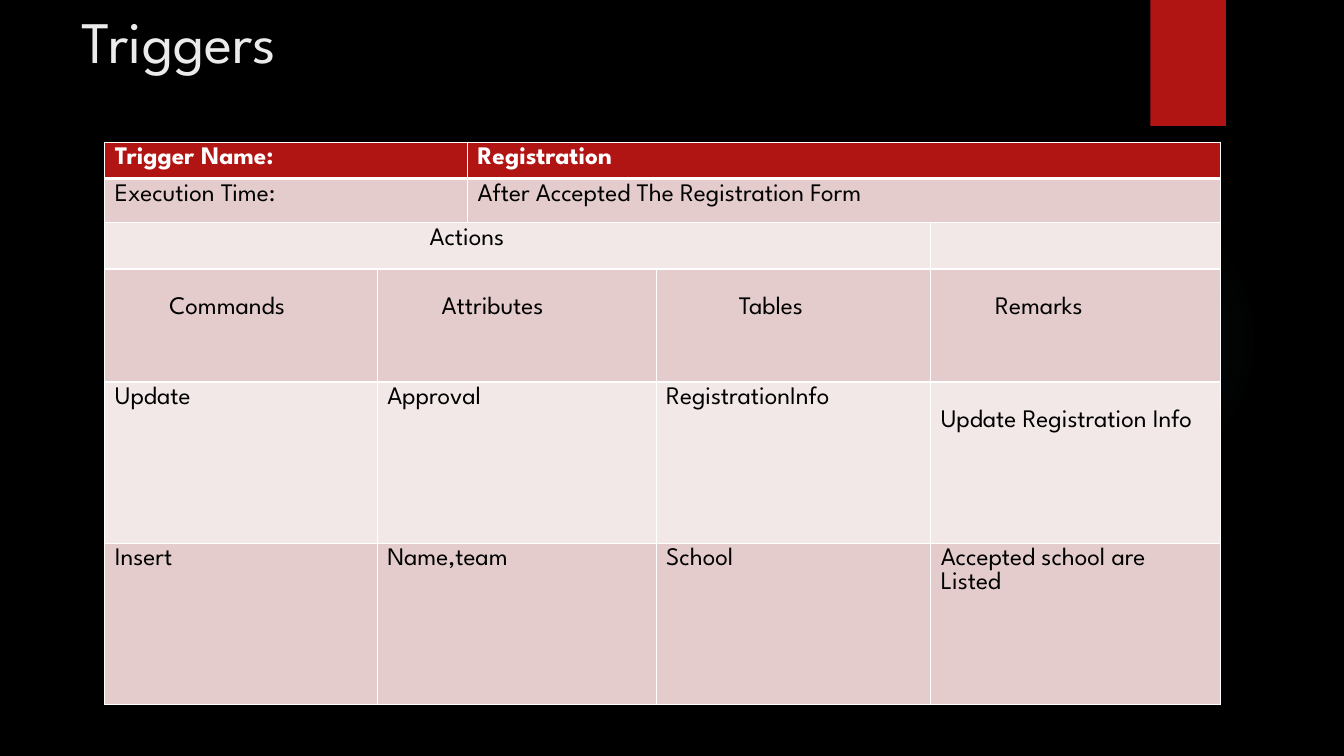
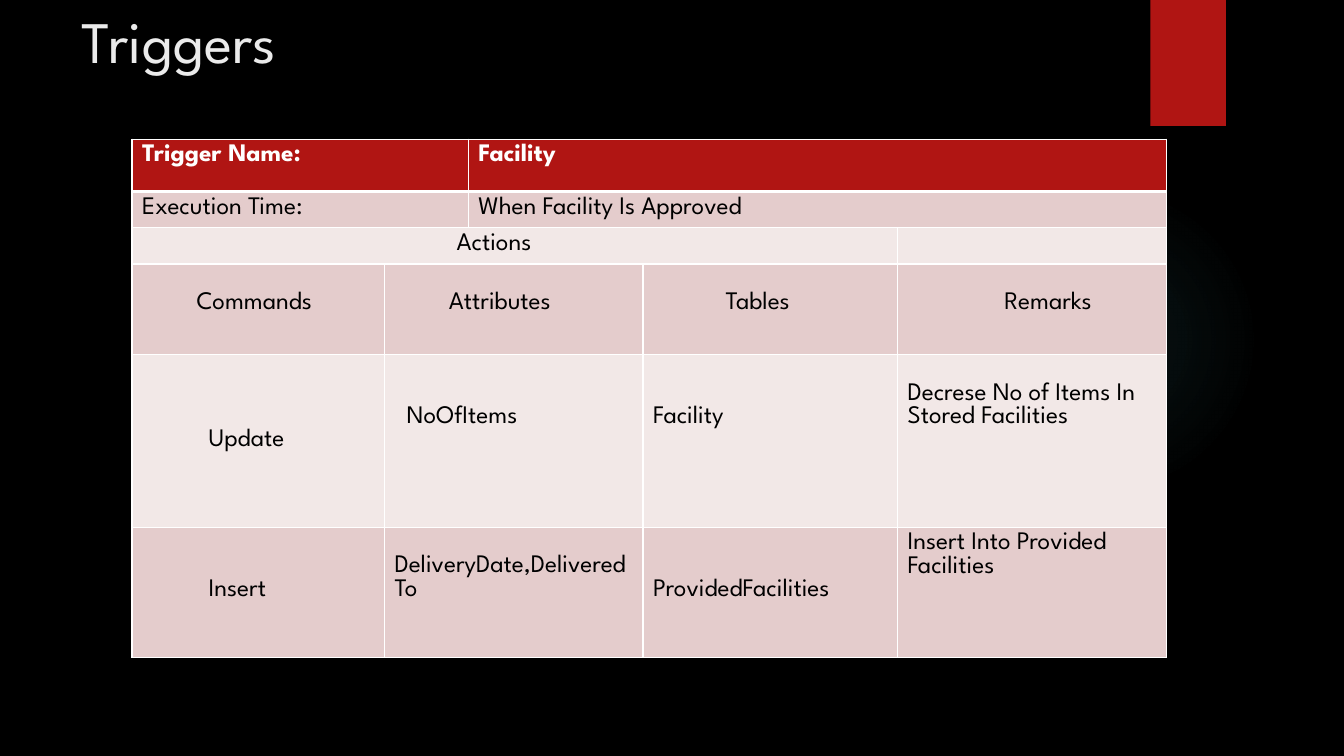
from pptx import Presentation
from pptx.dml.color import RGBColor
from pptx.enum.shapes import MSO_SHAPE
from pptx.oxml import parse_xml
from pptx.oxml.ns import nsdecls, qn
from pptx.util import Inches, Pt

COLORS = {
    "backdrop": "000000",
    "accent": "B01513",
    "title": "EBEBEB",
    "light": "FFFFFF",
    "ink": "000000",
    "band_dark": "E4CCCC",
    "band_pale": "F2E8E7",
    "glow": "50B9C1",
}
FONT = "League Spartan"
BODY_SIZE = 18
LINE_HEIGHT = 0.23
SPACE_WIDTH = 0.06
INSET_TOP = 0.05
COLUMN_SHARES = (0.244, 0.081, 0.169, 0.246, 0.26)
PAIR = ((0, 2), (2, 3))
WIDE = ((0, 4), (4, 1))
FOUR = ((0, 1), (1, 2), (3, 1), (4, 1))
ROW_SPANS = (PAIR, PAIR, WIDE, FOUR, FOUR, FOUR)
ACTIONS = (("Actions", 0, 52), ("", 0, 0))

REGISTRATION = {
    "area": (1.04, 1.41, 11.07),
    "heights": (0.36, 0.44, 0.46, 1.12, 1.6, 1.6),
    "rows": (
        (("Trigger Name:", 0, 0), ("Registration", 0, 0)),
        (("Execution Time:", 0, 0), ("After Accepted The Registration Form", 0, 0)),
        ACTIONS,
        (("Commands", 1, 9), ("Attributes", 1, 9), ("Tables", 1, 12), ("Remarks", 1, 9)),
        (("Update", 0, 0), ("Approval", 0, 0), ("RegistrationInfo", 0, 0),
         ("Update Registration Info", 1, 0)),
        (("Insert", 0, 0), ("Name,team", 0, 0), ("School", 0, 0),
         ("Accepted school are Listed", 0, 0)),
    ),
}
FACILITY = {
    "area": (1.31, 1.38, 10.26),
    "heights": (0.52, 0.36, 0.36, 0.9, 1.71, 1.29),
    "rows": (
        (("Trigger Name:", 0, 0), ("Facility", 0, 0)),
        (("Execution Time:", 0, 0), ("When Facility Is Approved", 0, 0)),
        ACTIONS,
        (("Commands", 1, 9), ("Attributes", 1, 9), ("Tables", 1, 12), ("Remarks", 1, 16)),
        (("Update", 3, 11), ("NoOfItems", 2, 2), ("Facility", 2, 0),
         ("Decrese No of Items In Stored Facilities", 1, 0)),
        (("Insert", 2, 11), ("DeliveryDate,DeliveredTo", 1, 0),
         ("ProvidedFacilities", 2, 0), ("Insert Into Provided Facilities", 0, 0)),
    ),
}


def rgb(role):
    """Return the colour that plays the given role."""
    return RGBColor.from_string(COLORS[role])


def style_text(paragraph, size, role, bold=False):
    """Format every run of a paragraph."""
    for run in paragraph.runs:
        run.font.name = FONT
        run.font.size = Pt(size)
        run.font.bold = bold
        run.font.color.rgb = rgb(role)


def add_plain(slide, preset, area):
    """Add a preset shape without line or shadow."""
    plain = slide.shapes.add_shape(preset, *map(Inches, area))
    plain.shadow.inherit = False
    plain.line.fill.background()
    return plain


def add_glow(slide):
    """Add the faint round glow that fades outwards."""
    glow = add_plain(slide, MSO_SHAPE.OVAL, (9.41, 1.83, 3.08, 3.08))
    glow.fill.gradient()
    stops = "".join(
        f'<a:gs pos="{share * 1000}"><a:srgbClr val="{COLORS["glow"]}">'
        f'<a:alpha val="{opacity * 1000}"/></a:srgbClr></a:gs>'
        for share, opacity in ((0, 7), (36, 6), (69, 0))
    )
    radial = parse_xml(
        f'<a:gradFill {nsdecls("a")}><a:gsLst>{stops}</a:gsLst><a:path path="circle">'
        '<a:fillToRect l="50000" t="50000" r="50000" b="50000"/></a:path></a:gradFill>'
    )
    properties = glow.element.spPr
    properties.replace(properties.find(qn("a:gradFill")), radial)


def add_frame(slide, title):
    """Add the glow, the accent band and the title."""
    add_glow(slide)
    band = add_plain(slide, MSO_SHAPE.RECTANGLE, (11.41, 0, 0.75, 1.25))
    band.fill.solid()
    band.fill.fore_color.rgb = rgb("accent")
    heading = slide.shapes.add_textbox(*map(Inches, (0.71, 0, 10.79, 1.53))).text_frame
    heading.word_wrap = True
    heading.text = title
    style_text(heading.paragraphs[0], 42, "title")


def set_borders(cell, row):
    """Draw the cell's edges, heavier below the heading row."""
    widths = {"L": 1, "R": 1, "T": 3 if row == 1 else 1, "B": 3 if row == 0 else 1}
    properties = cell._tc.get_or_add_tcPr()
    for place, (side, width) in enumerate(widths.items()):
        properties.insert(place, parse_xml(
            f'<a:ln{side} {nsdecls("a")} w="{Pt(width)}"><a:solidFill>'
            f'<a:srgbClr val="{COLORS["light"]}"/></a:solidFill></a:ln{side}>'
        ))


def prepare_cell(cell, row):
    """Give a cell its band colour and edges, and no height of its own."""
    cell.margin_top = cell.margin_bottom = 0
    cell.fill.solid()
    band = "accent" if row == 0 else "band_dark" if row % 2 else "band_pale"
    cell.fill.fore_color.rgb = rgb(band)
    set_borders(cell, row)


def fill_cell(cell, row, content):
    """Write a cell's text, set in by lines and space widths."""
    text, lines, spaces = content
    if not text:
        return
    cell.margin_top = Inches(INSET_TOP + lines * LINE_HEIGHT)
    cell.text_frame.text = text
    paragraph = cell.text_frame.paragraphs[0]
    indent = paragraph._p.get_or_add_pPr()
    indent.set("marL", str(Inches(spaces * SPACE_WIDTH)))
    indent.set("indent", "0")
    heading = row == 0
    style_text(paragraph, BODY_SIZE, "light" if heading else "ink", heading)


def add_trigger_table(slide, trigger):
    """Add the table that describes one trigger."""
    left, top, width = trigger["area"]
    heights = trigger["heights"]
    table = slide.shapes.add_table(
        len(heights), len(COLUMN_SHARES),
        *map(Inches, (left, top, width, sum(heights))),
    ).table
    for column, share in zip(table.columns, COLUMN_SHARES):
        column.width = Inches(width * share)
    for row, (height, spans, contents) in enumerate(
            zip(heights, ROW_SPANS, trigger["rows"])):
        table.rows[row].height = Inches(height)
        for cell in table.rows[row].cells:
            prepare_cell(cell, row)
        for (start, count), content in zip(spans, contents):
            cell = table.cell(row, start)
            if count > 1:
                cell.merge(table.cell(row, start + count - 1))
            fill_cell(cell, row, content)


def main():
    """Build and save the trigger slides."""
    deck = Presentation()
    deck.slide_width, deck.slide_height = Inches(13.33), Inches(7.5)
    backdrop = deck.slide_master.background.fill
    backdrop.solid()
    backdrop.fore_color.rgb = rgb("backdrop")
    for trigger in (REGISTRATION, FACILITY):
        slide = deck.slides.add_slide(deck.slide_layouts[6])
        add_frame(slide, "Triggers")
        add_trigger_table(slide, trigger)
    deck.save("out.pptx")


if __name__ == "__main__":
    main()
